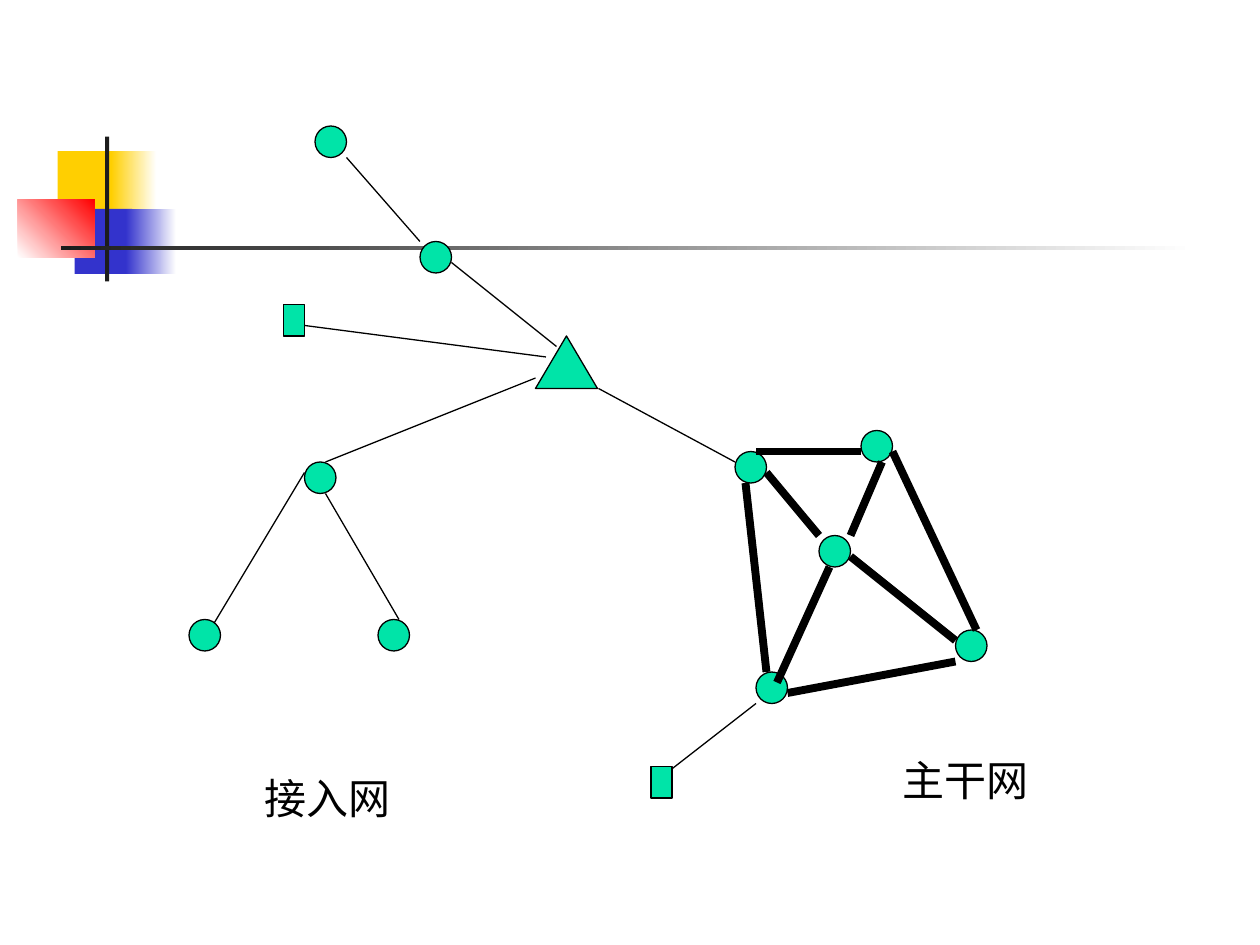
from lxml.etree import SubElement
from pptx import Presentation
from pptx.dml.color import RGBColor
from pptx.enum.shapes import MSO_CONNECTOR as Connector, MSO_SHAPE as Shape
from pptx.enum.text import MSO_AUTO_SIZE as AutoSize
from pptx.oxml.ns import qn
from pptx.util import Pt

PX = 7620  # EMU, 120 px to the inch
NODE = 30
THIN, THICK = 0.75, 4.5


def px(*lengths):
    return [length * PX for length in lengths]


def rgb(value):
    return RGBColor.from_string(value)


class Canvas:
    font = "Times New Roman"
    ink = "000000"
    node_fill = "00E4A8"

    def __init__(self, slide):
        self.slide = slide

    def shape(self, kind, x, y, width, height):
        shape = self.slide.shapes.add_shape(kind, *px(x, y, width, height))
        shape.shadow.inherit = False
        return shape

    def block(self, box, start, end=None, angle=0):
        block = self.shape(Shape.RECTANGLE, *box)
        block.line.fill.background()
        if end is None:
            block.fill.solid()
            block.fill.fore_color.rgb = rgb(start)
            return
        block.fill.gradient()
        block.fill.gradient_angle = angle
        for stop, color, position in zip(block.fill.gradient_stops, (start, end), (0, 1)):
            stop.color.rgb = rgb(color)
            stop.position = position

    def node(self, x, y, kind=Shape.OVAL, width=NODE, height=NODE):
        node = self.shape(kind, x, y, width, height)
        node.fill.solid()
        node.fill.fore_color.rgb = rgb(self.node_fill)
        node.line.color.rgb = rgb(self.ink)
        node.line.width = Pt(THIN)

    def link(self, ends, weight):
        link = self.slide.shapes.add_connector(Connector.STRAIGHT, *px(*ends))
        link.line.color.rgb = rgb(self.ink)
        link.line.width = Pt(weight)
        SubElement(link._element.spPr, qn("a:effectLst"))

    def label(self, text, x, y):
        frame = self.slide.shapes.add_textbox(*px(x, y, 144, 60)).text_frame
        frame.word_wrap = False
        frame.auto_size = AutoSize.SHAPE_TO_FIT_TEXT
        frame.text = text
        font = frame.paragraphs[0].runs[0].font
        font.name, font.size = self.font, Pt(24)
        font.color.rgb = rgb(self.ink)


def main():
    deck = Presentation()
    deck.slide_width, deck.slide_height = px(1200, 900)
    canvas = Canvas(deck.slides.add_slide(deck.slide_layouts[6]))

    # Corner ornament and title rule
    canvas.block((55, 144, 58, 62), "FFCF01")
    canvas.block((106, 144, 43, 62), "FFCF01", "FFFFFF")
    canvas.block((71, 199, 55, 62), "3333CC")
    canvas.block((120, 199, 48, 62), "3333CC", "FFFFFF")
    canvas.block((17, 190, 73, 55), "FFFFFF", "FF0000", 45)
    canvas.block((100, 130, 4, 138), "1C1C1C")
    canvas.block((58, 234, 1080, 4), "1C1C1C", "FFFFFF")

    # Backbone network
    for x, y in [(700, 430), (820, 410), (910, 600), (720, 640), (780, 510)]:
        canvas.node(x, y)
    backbone_links = [
        (730, 450, 780, 510), (790, 540, 740, 650),
        (840, 440, 810, 510), (810, 530, 910, 610),
        (710, 460, 730, 640), (720, 430, 820, 430),
        (850, 430, 930, 600), (750, 660, 910, 630),
    ]
    for ends in backbone_links:
        canvas.link(ends, THICK)

    # Access network
    access_links = [
        (720, 670, 630, 740), (570, 370, 700, 440),
        (510, 360, 310, 440), (290, 450, 200, 600),
        (430, 250, 530, 330), (310, 470, 380, 590),
        (520, 340, 290, 310), (330, 150, 400, 230),
    ]
    for ends in access_links:
        canvas.link(ends, THIN)
    canvas.node(510, 320, Shape.ISOSCELES_TRIANGLE, 59, 50)
    for x, y in [(290, 440), (180, 590), (400, 230), (360, 590), (300, 120)]:
        canvas.node(x, y)
    for x, y in [(270, 290), (620, 730)]:
        canvas.node(x, y, Shape.RECTANGLE, 20)

    # Network names
    canvas.label("主干网", 848, 713)
    canvas.label("接入网", 240, 730)

    deck.save("out.pptx")


if __name__ == "__main__":
    main()
